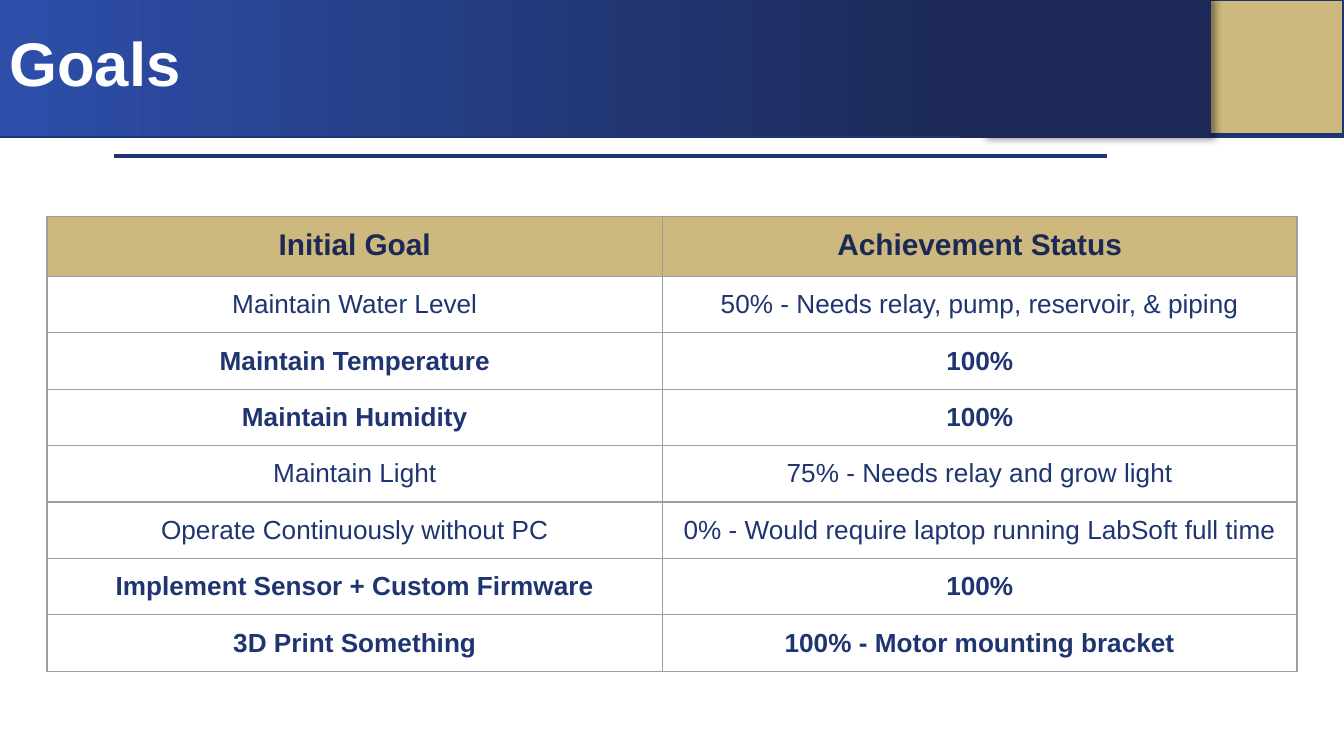
"""Build the Goals slide: a banner header above a table of goals."""
import dataclasses
import typing

import lxml.etree
import pptx
import pptx.dml.color
import pptx.enum.shapes
import pptx.enum.text
import pptx.oxml.ns
import pptx.slide
import pptx.util

Inches = pptx.util.Inches
Pt = pptx.util.Pt
Align = pptx.enum.text.PP_ALIGN
Anchor = pptx.enum.text.MSO_ANCHOR


@dataclasses.dataclass(frozen=True)
class Theme:
    font: str = "Arial"
    gold: str = "CDB87D"
    navy: str = "1C2957"
    blue: str = "1F3571"
    bright: str = "2D4FAA"
    white: str = "FFFFFF"
    grey: str = "9E9E9E"
    black: str = "000000"
    title: float = 33
    head: float = 16
    body: float = 14
    rule: float = 2.5
    thin: float = 0.75


class Box(typing.NamedTuple):
    left: float
    top: float
    width: float
    height: float
    fill: str
    fade: str = ""
    line: str = ""
    weight: float = 0
    shadow: bool = False


class Goal(typing.NamedTuple):
    name: str
    status: str
    done: bool = False


THEME = Theme()
BOXES = [
    Box(0, -0.01, 10, 1.02, THEME.gold, line=THEME.blue, weight=THEME.rule),
    Box(0, -0.01, 7.16, 1.02, THEME.bright, fade=THEME.navy),
    Box(7.31, -0.04, 1.7, 1.05, THEME.navy, shadow=True),
    Box(7.15, -0.01, 1.85, 1.03, THEME.navy, line=THEME.navy, weight=THEME.thin),
]
HEADS = ("Initial Goal", "Achievement Status")
GOALS = [
    Goal("Maintain Water Level", "50% - Needs relay, pump, reservoir, & piping"),
    Goal("Maintain Temperature", "100%", True),
    Goal("Maintain Humidity", "100%", True),
    Goal("Maintain Light", "75% - Needs relay and grow light"),
    Goal("Operate Continuously without PC",
         "0% - Would require laptop running LabSoft full time"),
    Goal("Implement Sensor + Custom Firmware", "100%", True),
    Goal("3D Print Something", "100% - Motor mounting bracket", True),
]
WIDTHS = (4.58, 4.72)
ROW = 0.42


def tint(hue: str) -> pptx.dml.color.RGBColor:
    return pptx.dml.color.RGBColor.from_string(hue)


def add_node(parent: typing.Any, tag: str, **attrs: typing.Any) -> typing.Any:
    name = pptx.oxml.ns.qn(f"a:{tag}")
    return lxml.etree.SubElement(parent, name, {k: str(v) for k, v in attrs.items()})


def write(frame: typing.Any, text: str, *, size: float, hue: str, bold: bool = False,
          align: Align = Align.LEFT, space: float = 1) -> None:
    para = frame.paragraphs[0]
    para.alignment, para.line_spacing = align, space
    run = para.add_run()
    run.text = text
    run.font.name, run.font.size, run.font.bold = THEME.font, Pt(size), bold
    run.font.color.rgb = tint(hue)


def add_box(slide: pptx.slide.Slide, box: Box) -> None:
    shape = slide.shapes.add_shape(
        pptx.enum.shapes.MSO_SHAPE.RECTANGLE, Inches(box.left), Inches(box.top),
        Inches(box.width), Inches(box.height))
    shape.shadow.inherit = False
    if box.fade:
        shape.fill.gradient()
        shape.fill.gradient_angle = 0
        for stop, hue in zip(shape.fill.gradient_stops, (box.fill, box.fade)):
            stop.color.rgb = tint(hue)
    else:
        shape.fill.solid()
        shape.fill.fore_color.rgb = tint(box.fill)
    if box.line:
        shape.line.color.rgb = tint(box.line)
        shape.line.width = Pt(box.weight)
    else:
        shape.line.fill.background()
    if box.shadow:
        effects = shape.element.spPr.find(pptx.oxml.ns.qn("a:effectLst"))
        outer = add_node(effects, "outerShdw", blurRad=Pt(4), dist=Pt(3),
                         dir=45 * 60000, rotWithShape=0)
        add_node(add_node(outer, "srgbClr", val=THEME.black), "alpha", val=40000)


def add_rule(slide: pptx.slide.Slide, left: float, right: float, top: float) -> None:
    rule = slide.shapes.add_connector(
        pptx.enum.shapes.MSO_CONNECTOR.STRAIGHT,
        Inches(left), Inches(top), Inches(right), Inches(top))
    rule.line.color.rgb = tint(THEME.blue)
    rule.line.width = Pt(THEME.rule)
    add_node(rule.element.spPr, "effectLst")


def add_title(slide: pptx.slide.Slide, text: str) -> None:
    frame = slide.shapes.add_textbox(
        Inches(0), Inches(-0.03), Inches(7.16), Inches(1.05)).text_frame
    frame.word_wrap = True
    frame.vertical_anchor = Anchor.MIDDLE
    frame.margin_left = frame.margin_right = Inches(0.07)
    frame.margin_top = frame.margin_bottom = Inches(0.04)
    write(frame, text, size=THEME.title, hue=THEME.white, bold=True, space=0.9)


def fill_cell(cell: typing.Any, text: str, *, head: bool, bold: bool) -> None:
    cell.margin_left = cell.margin_right = Inches(0.1)
    cell.margin_top = cell.margin_bottom = Inches(0.09)
    cell.vertical_anchor = Anchor.TOP if head else Anchor.MIDDLE
    write(cell.text_frame, text, size=THEME.head if head else THEME.body,
          hue=THEME.navy if head else THEME.blue, bold=bold, align=Align.CENTER)
    props = cell._tc.get_or_add_tcPr()
    for side in ("lnL", "lnR", "lnT", "lnB"):
        edge = add_node(props, side, w=Pt(THEME.thin))
        add_node(add_node(edge, "solidFill"), "srgbClr", val=THEME.grey)
    if head:
        cell.fill.solid()
        cell.fill.fore_color.rgb = tint(THEME.gold)
    else:
        cell.fill.background()


def add_goals(slide: pptx.slide.Slide, goals: list[Goal]) -> None:
    count = len(goals) + 1
    table = slide.shapes.add_table(
        count, len(WIDTHS), Inches(0.35), Inches(1.61),
        Inches(sum(WIDTHS)), Inches(ROW * count)).table
    table.horz_banding = False
    for col, width in zip(table.columns, WIDTHS):
        col.width = Inches(width)
    for row, goal in enumerate([Goal(*HEADS, True), *goals]):
        table.rows[row].height = Inches(ROW)
        for col, text in enumerate((goal.name, goal.status)):
            fill_cell(table.cell(row, col), text, head=row == 0, bold=goal.done)


def main() -> None:
    deck = pptx.Presentation()
    deck.slide_width = Inches(10)
    deck.slide_height = deck.slide_width * 9 // 16
    slide = deck.slides.add_slide(deck.slide_layouts[6])
    for box in BOXES:
        add_box(slide, box)
    add_rule(slide, 0.85, 8.24, 1.16)
    add_title(slide, "Goals")
    add_goals(slide, GOALS)
    deck.save("out.pptx")


if __name__ == "__main__":
    main()
